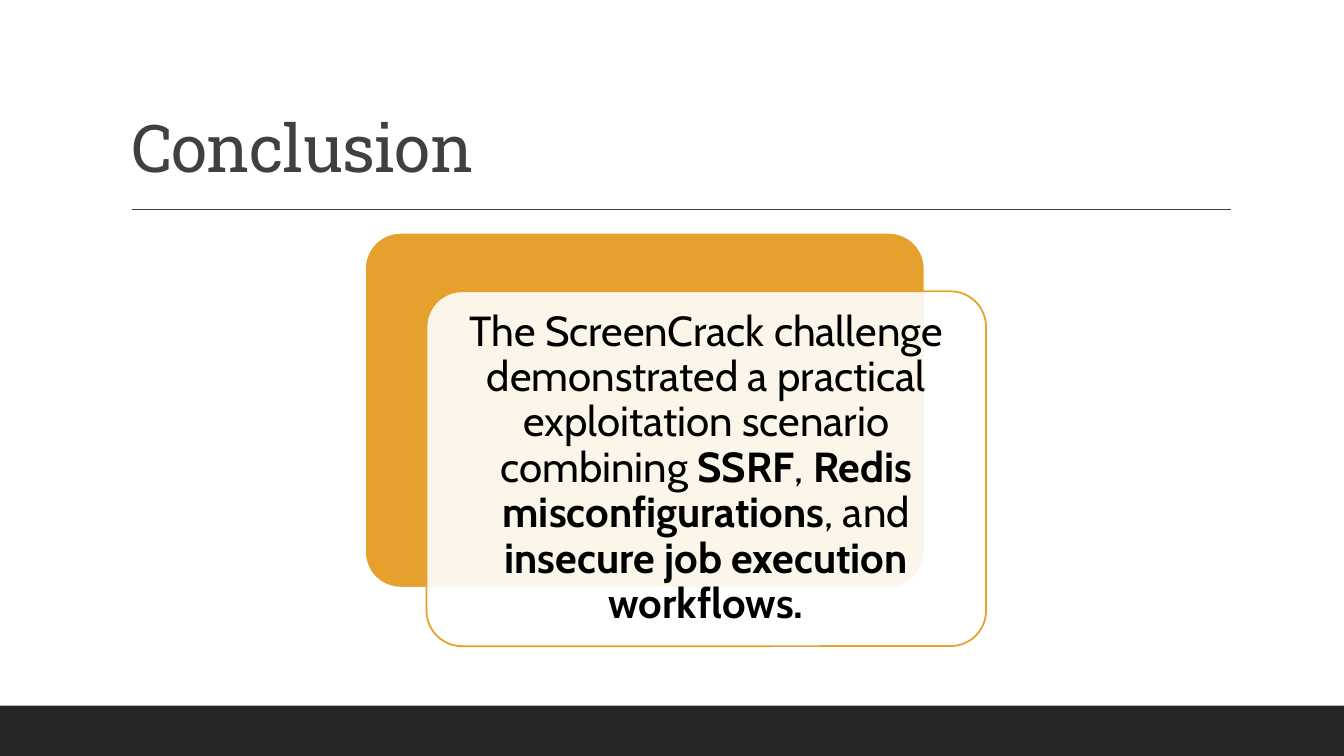
from dataclasses import dataclass
from lxml.etree import SubElement
from pptx import Presentation
from pptx.dml.color import RGBColor
from pptx.enum.shapes import MSO_CONNECTOR as Link, MSO_SHAPE as Shape
from pptx.enum.text import MSO_ANCHOR as Anchor, PP_ALIGN as Align
from pptx.oxml.ns import qn
from pptx.util import Inches, Pt

WIDE, HIGH = 13.33, 7.5
HUES = {"paper": "FFFFFF", "bar": "262626", "ink": "404040",
        "gold": "E6A02E", "text": "000000"}


@dataclass
class Box:
    """An area in inches."""
    left: float
    top: float
    width: float
    height: float

    def emu(self) -> list:
        return [Inches(n) for n in (self.left, self.top, self.width, self.height)]

    def shift(self, right: float, down: float) -> "Box":
        return Box(self.left + right, self.top + down, self.width, self.height)

    def inset(self, gap: float) -> "Box":
        return Box(self.left + gap, self.top + gap,
                   self.width - 2 * gap, self.height - 2 * gap)


@dataclass
class Card:
    box: Box
    fill: str
    line: str
    alpha: int = 100


@dataclass
class Part:
    text: str
    bold: bool = False


BACK = Box(3.62, 2.31, 5.55, 3.52)
FRONT = BACK.shift(0.61, 0.58)
CARDS = [Card(BACK, "gold", "paper"), Card(FRONT, "paper", "gold", 90)]
PARTS = [
    Part("The ScreenCrack challenge demonstrated a practical "
         "exploitation scenario combining "),
    Part("SSRF", True),
    Part(", "),
    Part("Redis misconfigurations", True),
    Part(", and "),
    Part("insecure job execution workflows.", True),
]


def hue(name: str) -> RGBColor:
    return RGBColor.from_string(HUES[name])


def paint(shape, fill: str) -> None:
    shape.shadow.inherit = False
    shape.fill.solid()
    shape.fill.fore_color.rgb = hue(fill)


def style(run, face: str, size: float, tint: str) -> None:
    run.font.name = face
    run.font.size = Pt(size)
    run.font.color.rgb = hue(tint)


def add_bar(slide) -> None:
    bar = slide.shapes.add_shape(Shape.RECTANGLE, *Box(0, 7, WIDE, 0.5).emu())
    paint(bar, "bar")
    bar.line.fill.background()


def add_rule(slide) -> None:
    ends = [Inches(n) for n in (1.31, 2.08, 12.21, 2.08)]
    rule = slide.shapes.add_connector(Link.STRAIGHT, *ends)
    rule.line.color.rgb = hue("ink")
    rule.line.width = Pt(1)
    SubElement(rule._element.spPr, qn("a:effectLst"))


def set_title(slide, text: str) -> None:
    title = slide.shapes.title
    title.left, title.top, title.width, title.height = Box(1.2, 0.31, 11, 1.59).emu()
    title.text_frame.vertical_anchor = Anchor.BOTTOM
    para = title.text_frame.paragraphs[0]
    para.alignment = Align.LEFT
    para.line_spacing = 0.9
    run = para.add_run()
    run.text = text
    style(run, "Roboto Slab", 47, "ink")
    run.font._element.set("spc", "-50")


def add_card(slide, card: Card) -> None:
    shape = slide.shapes.add_shape(Shape.ROUNDED_RECTANGLE, *card.box.emu())
    shape.adjustments[0] = 0.1
    paint(shape, card.fill)
    shape.line.color.rgb = hue(card.line)
    shape.line.width = Pt(1.25)
    if card.alpha < 100:
        tint = shape._element.spPr.find(qn("a:solidFill"))[0]
        SubElement(tint, qn("a:alpha"), val=str(card.alpha * 1000))


def add_words(slide, box: Box, parts: list[Part]) -> None:
    frame = slide.shapes.add_textbox(*box.emu()).text_frame
    frame.word_wrap = True
    frame.vertical_anchor = Anchor.MIDDLE
    frame.margin_left = frame.margin_right = Inches(0.12)
    frame.margin_top = frame.margin_bottom = Inches(0.12)
    para = frame.paragraphs[0]
    para.alignment = Align.CENTER
    para.line_spacing = 0.9
    for part in parts:
        run = para.add_run()
        run.text = part.text
        style(run, "Cabin", 30, "text")
        run.font.bold = part.bold


def main() -> None:
    deck = Presentation()
    deck.slide_width, deck.slide_height = Inches(WIDE), Inches(HIGH)
    slide = deck.slides.add_slide(deck.slide_layouts[5])
    slide.background.fill.solid()
    slide.background.fill.fore_color.rgb = hue("paper")

    # Frame of the slide
    add_bar(slide)
    add_rule(slide)
    set_title(slide, "Conclusion")

    # Overlapping cards with the closing statement
    for card in CARDS:
        add_card(slide, card)
    add_words(slide, FRONT.inset(0.1), PARTS)

    deck.save("out.pptx")


if __name__ == "__main__":
    main()
